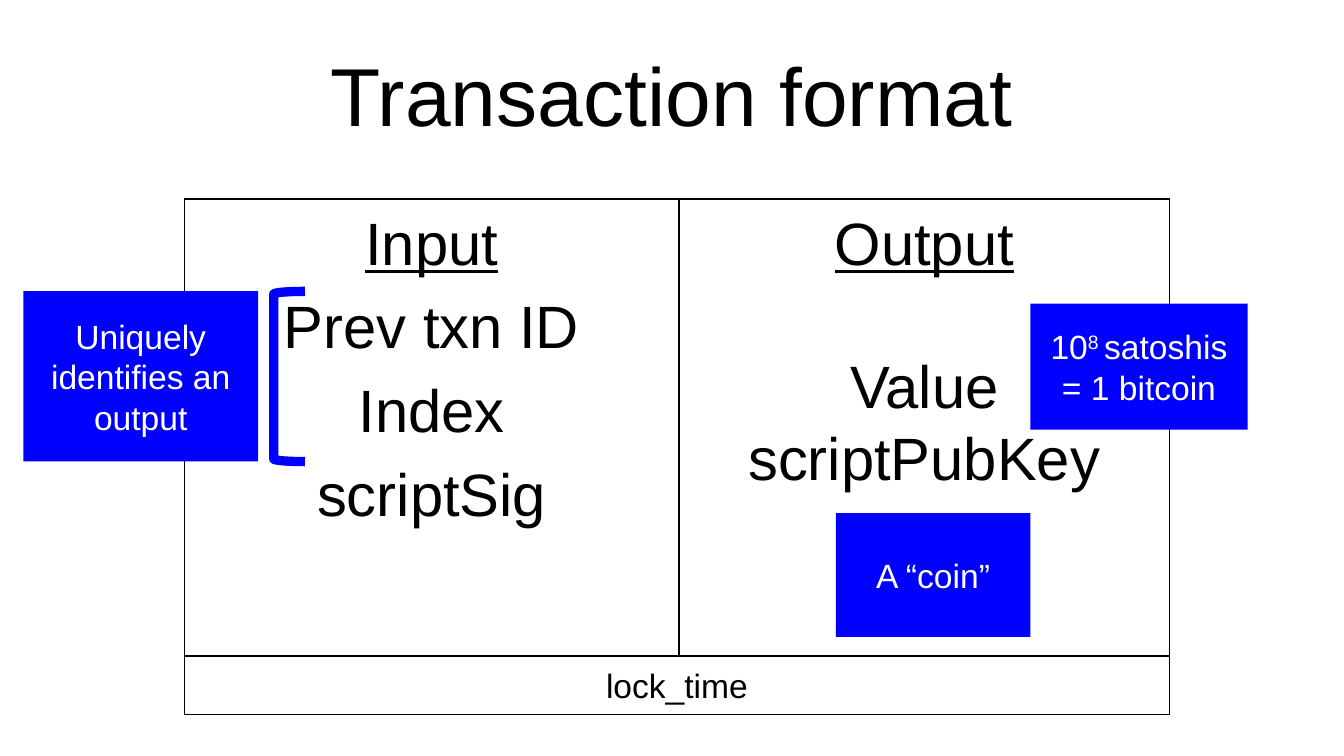
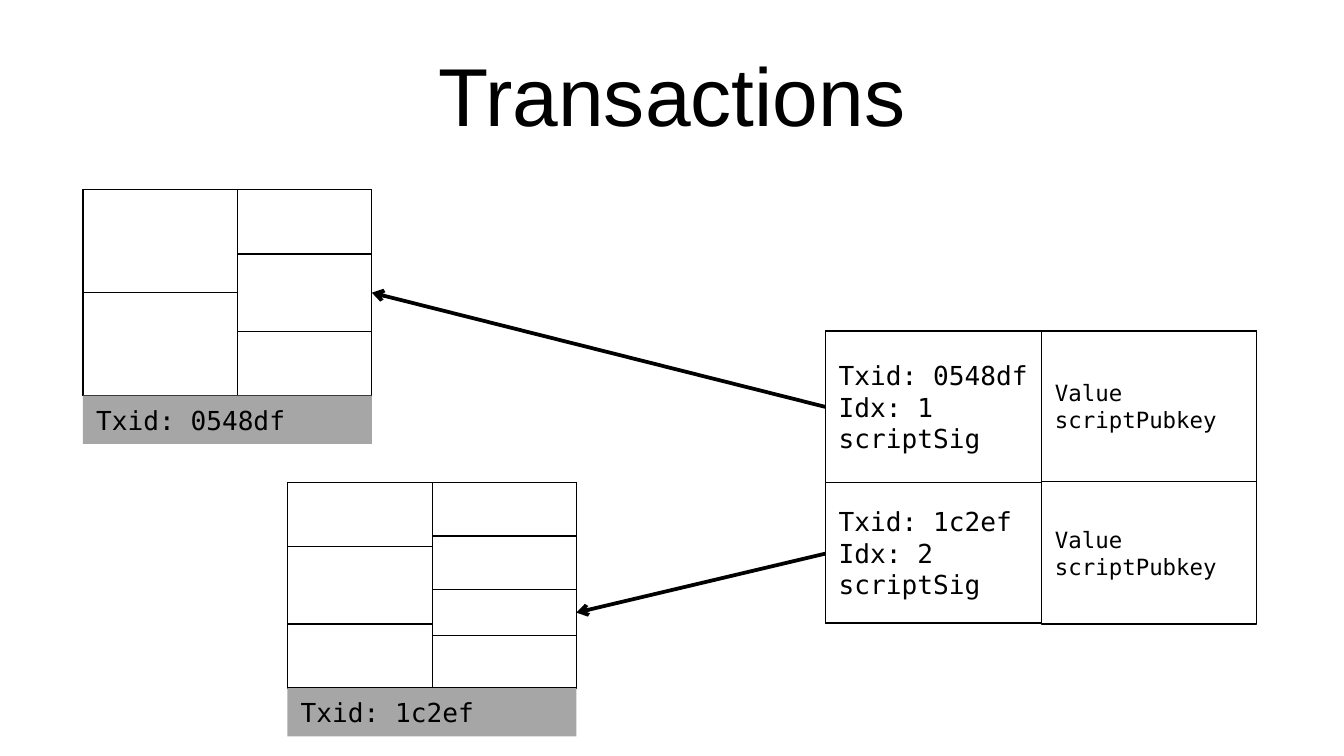
from pptx import Presentation
from pptx.dml.color import RGBColor
from pptx.enum.shapes import MSO_CONNECTOR, MSO_SHAPE
from pptx.enum.text import MSO_ANCHOR, PP_ALIGN
from pptx.oxml.ns import qn
from pptx.util import Pt
from lxml.etree import SubElement

COLORS = {"ink": "000000", "paper": "FFFFFF", "accent": "0000FF", "label": "A6A6A6"}
SANS, MONO = "Arial", "DejaVu Sans Mono"


def write(shape, lines, size, color="ink", font=SANS, align=PP_ALIGN.CENTER, anchor=MSO_ANCHOR.MIDDLE):
    frame = shape.text_frame
    frame.word_wrap = True
    frame.vertical_anchor = anchor
    frame.text = "\n".join(lines)
    for paragraph in frame.paragraphs:
        paragraph.alignment = align
        for run in paragraph.runs:
            run.font.size = Pt(size)
            run.font.name = font
            run.font.color.rgb = RGBColor.from_string(COLORS[color])
    return frame.paragraphs


def box(slide, left, top, width, height, fill=None, kind=MSO_SHAPE.RECTANGLE, line="ink", weight=0.75):
    shape = slide.shapes.add_shape(kind, Pt(left), Pt(top), Pt(width), Pt(height))
    shape.shadow.inherit = False
    if fill:
        shape.fill.solid()
        shape.fill.fore_color.rgb = RGBColor.from_string(COLORS[fill])
        shape.line.fill.background()
    else:
        shape.fill.background()
        shape.line.color.rgb = RGBColor.from_string(COLORS[line])
        shape.line.width = Pt(weight)
    return shape


prs = Presentation()
prs.slide_width, prs.slide_height = Pt(720), Pt(405)

slides = []
for heading in ("Transaction format", "Transactions"):
    slide = prs.slides.add_slide(prs.slide_layouts[6])
    title = slide.shapes.add_textbox(Pt(36), Pt(16.6), Pt(648), Pt(67.6))
    write(title, [heading], 44)
    slides.append(slide)
format_slide, chain_slide = slides

left, top, height = 98.8, 106.6, 244.8
input_width, output_width = 265, 262.8
box(format_slide, left, top, input_width + output_width, height)

output_panel = box(format_slide, left + input_width, top, output_width, height)
output_lines = write(output_panel, ["Output", "Value", "scriptPubKey"], 32, anchor=MSO_ANCHOR.TOP)
output_lines[0].runs[0].font.underline = True
output_lines[1].space_before = Pt(38.3)

input_panel = box(format_slide, left, top, input_width, height)
input_lines = write(input_panel, ["Input", "Prev txn ID", "Index", "scriptSig"], 32, anchor=MSO_ANCHOR.TOP)
input_lines[0].runs[0].font.underline = True
for paragraph in input_lines[1:]:
    paragraph.space_before = Pt(6.4)

box(format_slide, 146.7, 156.1, 16.7, 91.2, kind=MSO_SHAPE.LEFT_BRACKET, line="accent", weight=5)
lock_time = box(format_slide, left, top + height, input_width + output_width, 31.4)
write(lock_time, ["lock_time"], 18)

for note, place in (
    ("Uniquely identifies an output", (12.5, 156, 125.8, 91.2)),
    ("A “coin”", (447.8, 274.9, 104.2, 66.3)),
):
    write(box(format_slide, *place, fill="accent"), [note], 18, "paper")

unit_note = box(format_slide, 552, 162.6, 116.4, 67.6, fill="accent")
unit_line = write(unit_note, ["10"], 18, "paper")[0]
for words in ("8 ", "satoshis = 1 bitcoin"):
    run = unit_line.add_run()
    run.text = words
    run.font.size = Pt(18)
    run.font.name = SANS
    run.font.color.rgb = RGBColor.from_string(COLORS["paper"])
unit_line.runs[1].font._element.set("baseline", "30000")

output_cell = (["Value", "scriptPubkey"], 12)
transactions = [
    (44.4, 101.6, None, [
        (82.8, [55.2] * 2, []),
        (72, [34.5, 41.4, 34.5], []),
    ], "Txid: 0548df"),
    (154, 258.5, None, [
        (77.8, [34.4, 41.4, 34.4], []),
        (77, [28.6, 28.6, 24.8, 28.4], []),
    ], "Txid: 1c2ef"),
    (442.2, 177.3, 156.9, [
        (115.9, [81.2, 75.2], [
            (["Txid: 0548df", "Idx: 1", "scriptSig"], 14),
            (["Txid: 1c2ef", "Idx: 2", "scriptSig"], 14),
        ]),
        (115.2, [80.6, 76.5], [output_cell] * 2),
    ], None),
]
for left, top, frame_height, columns, txid in transactions:
    total_width = sum(width for width, _, _ in columns)
    total_height = frame_height or sum(columns[0][1])
    box(chain_slide, left, top, total_width, total_height)
    x = left
    for width, heights, texts in columns:
        y = top
        for row, height in enumerate(heights):
            cell = box(chain_slide, x, y, width, height)
            if texts:
                lines, size = texts[row]
                write(cell, lines, size, font=MONO, align=PP_ALIGN.LEFT)
            y += height
        x += width
    if txid:
        label = box(chain_slide, left, top + total_height, total_width, 25.9, fill="label")
        write(label, [txid], 14, font=MONO, align=PP_ALIGN.LEFT)

for start_y, end_x, end_y in ((218, 199.2, 156.8), (296.6, 308.8, 328.2)):
    spend = chain_slide.shapes.add_connector(
        MSO_CONNECTOR.STRAIGHT, Pt(442.2), Pt(start_y), Pt(end_x), Pt(end_y))
    spend.line.color.rgb = RGBColor.from_string(COLORS["ink"])
    spend.line.width = Pt(2)
    SubElement(spend.line._get_or_add_ln(), qn("a:tailEnd")).set("type", "arrow")
    SubElement(spend._element.spPr, qn("a:effectLst"))

prs.save("out.pptx")
